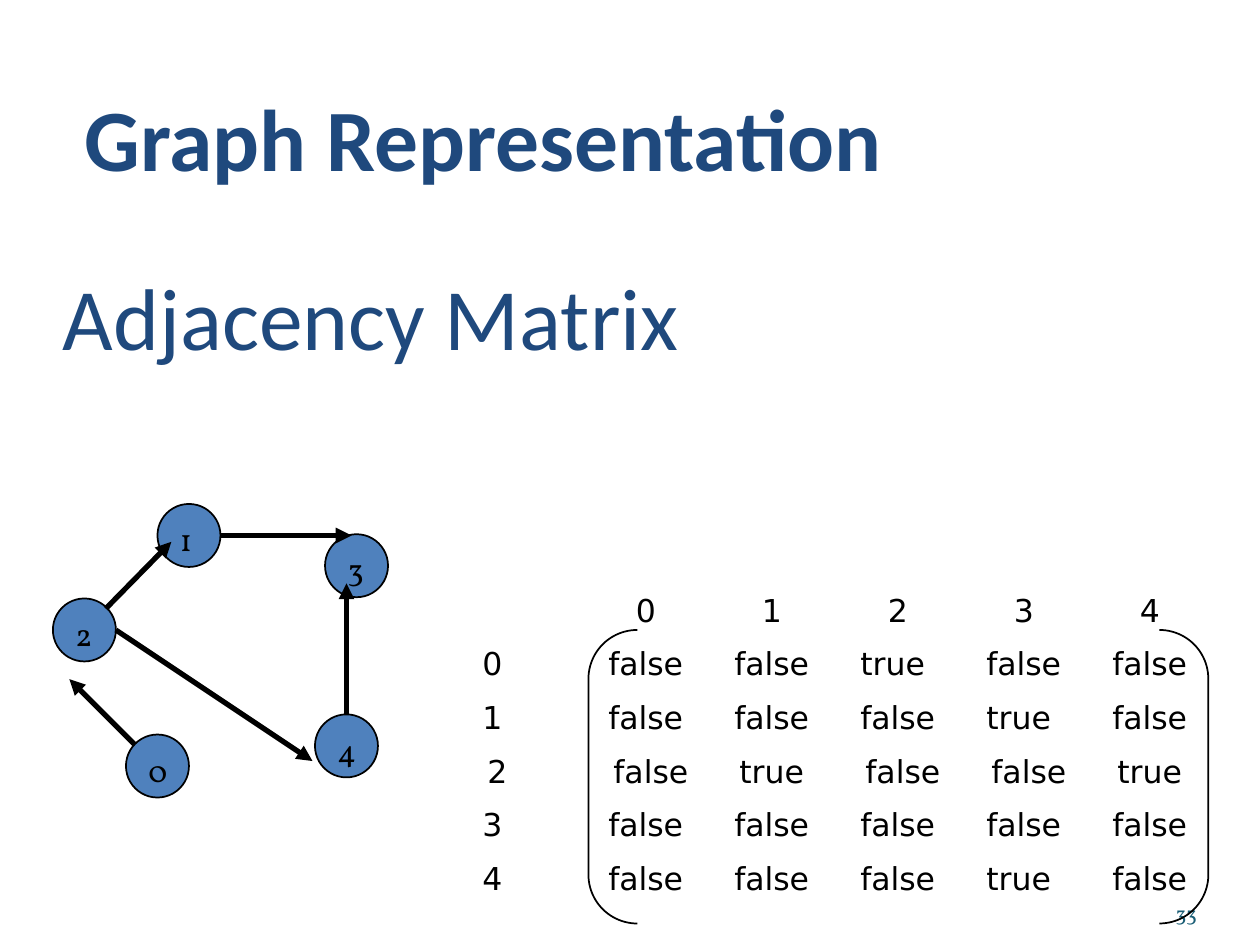
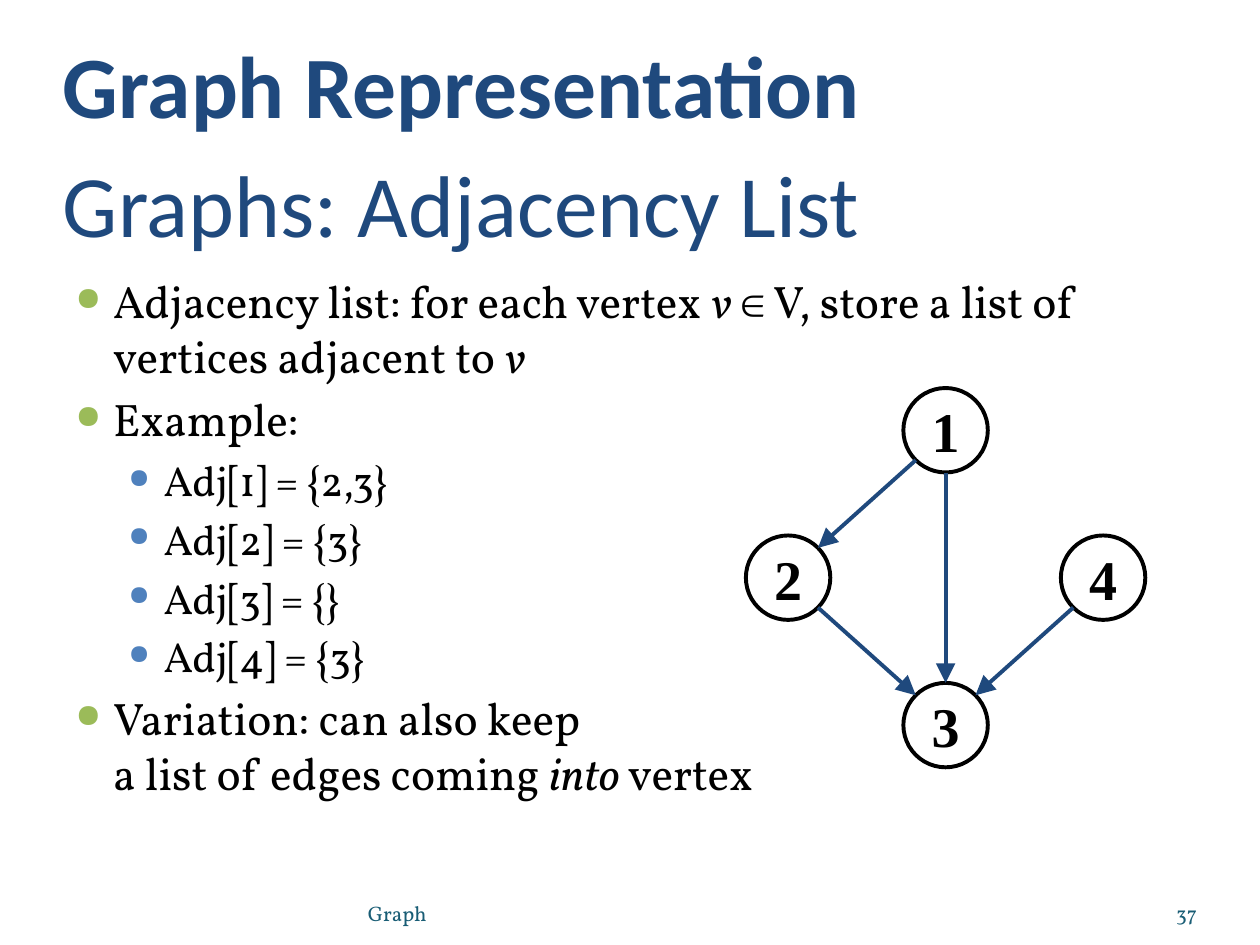
from dataclasses import dataclass
from math import copysign, sqrt

from lxml import etree
from pptx import Presentation
from pptx.dml.color import RGBColor
from pptx.enum import shapes, text
from pptx.oxml.ns import qn
from pptx.util import Inches, Pt


@dataclass(frozen=True)
class Theme:
    navy: str = "1F497D"
    blue: str = "4F81BD"
    green: str = "9BBB59"
    teal: str = "195D75"
    black: str = "000000"
    head: str = "Calibri"
    body: str = "Vollkorn"
    grid: str = "DejaVu Sans"
    serif: str = "Times New Roman"
    title: int = 50
    point: int = 26
    sub: int = 24
    node: int = 32
    label: int = 18
    foot: int = 12


T = Theme()
PAD = (0.1, 0.05, 0.1, 0.05)
TOP, MID, LOW = (text.MSO_ANCHOR.TOP, text.MSO_ANCHOR.MIDDLE,
                 text.MSO_ANCHOR.BOTTOM)
MID_AL, RIGHT = text.PP_ALIGN.CENTER, text.PP_ALIGN.RIGHT


def style(part, font, size, color, bold=False, align=None):
    part.alignment = align
    for run in part.runs:
        run.font.name = font
        run.font.size = Pt(size)
        run.font.bold = bold
        run.font.color.rgb = RGBColor.from_string(color)


def frame(shape, pad=PAD, anchor=TOP, wrap=True):
    """Set the margins, anchor and wrapping of a shape's text."""
    tf = shape.text_frame
    tf.margin_left, tf.margin_top, tf.margin_right, tf.margin_bottom = map(
        Inches, pad)
    tf.vertical_anchor = anchor
    tf.word_wrap = wrap
    return tf


def box(host, at, words, look, gap=0, **opts):
    """Add a text box whose paragraphs share one look."""
    tf = frame(host.add_textbox(*map(Inches, at)), **opts)
    tf.text = words
    for i, part in enumerate(tf.paragraphs):
        style(part, **look)
        if i and gap:
            part.space_before = Pt(gap)
    return tf


def title(slide, at, words, bold=False):
    look = dict(font=T.head, size=T.title, color=T.navy, bold=bold)
    box(slide.shapes, at, words, look, pad=(0, 0.05, 0, 0), anchor=LOW)


def foot(slide, left, width, words, align=None):
    look = dict(font=T.body, size=T.foot, color=T.teal, align=align)
    box(slide.shapes, (left, 6.95, width, 0.4), words, look,
        pad=(0, 0, 0, 0), anchor=LOW)


def number(slide, words):
    foot(slide, 8.67, 0.83, words, RIGHT)


def outline(host, kind, at, width, fill=None):
    """Add a preset shape with a black line."""
    item = host.add_shape(kind, *map(Inches, at))
    item.shadow.inherit = False
    if fill:
        item.fill.solid()
        item.fill.fore_color.rgb = RGBColor.from_string(fill)
    else:
        item.fill.background()
    item.line.color.rgb = RGBColor.from_string(T.black)
    item.line.width = Pt(width)
    return item


def arrow(host, start, end, color, width, head="med"):
    line = host.add_connector(shapes.MSO_CONNECTOR.STRAIGHT,
                              *map(Inches, (*start, *end)))
    line.line.color.rgb = RGBColor.from_string(color)
    line.line.width = Pt(width)
    props = line._element.spPr
    etree.SubElement(props.find(qn("a:ln")), qn("a:tailEnd"),
                     type="triangle", w=head, len=head)
    etree.SubElement(props, qn("a:effectLst"))


def bullet(part, level):
    left, hang, color, scale = ((0.3, 0.3, T.green, 72),
                                (0.7, 0.28, T.blue, 65))[level]
    part.level = level
    props = part._p.get_or_add_pPr()
    props.set("marL", str(Inches(left)))
    props.set("indent", str(-Inches(hang)))
    tint = etree.SubElement(props, qn("a:buClr"))
    etree.SubElement(tint, qn("a:srgbClr"), val=color)
    etree.SubElement(props, qn("a:buSzPct"), val=str(scale * 1000))
    etree.SubElement(props, qn("a:buChar"), char="●")


def points(slide, at, items):
    """Add bulleted (level, words); *stars* mark italics, \\n a line break."""
    tf = frame(slide.shapes.add_textbox(*map(Inches, at)))
    for i, (level, words) in enumerate(items):
        part = tf.add_paragraph() if i else tf.paragraphs[0]
        size = T.sub if level else T.point
        part.space_before = Pt(size * 0.2 if i else 0)
        bullet(part, level)
        for j, chunk in enumerate(words.split("*")):
            for k, row in enumerate(chunk.split("\n")):
                if k:
                    part.add_line_break()
                if row:
                    run = part.add_run()
                    run.text = row
                    run.font.italic = j % 2 == 1
        style(part, T.body, size, T.black)


def digraph(slide):
    """Draw the five-vertex graph beside the matrix."""
    host = slide.shapes.add_group_shape().shapes
    nodes = {"2": (0.42, 4.75), "0": (1, 5.83), "1": (1.25, 4),
             "4": (2.5, 5.67), "3": (2.58, 4.24)}
    edges = [((1.75, 4.25), (2.79, 4.25)), ((0.92, 5), (2.48, 6.04)),
             ((0.84, 4.83), (1.36, 4.3)), ((1.07, 5.91), (0.55, 5.39)),
             ((2.75, 5.67), (2.75, 4.63))]
    for x, y in nodes.values():
        outline(host, shapes.MSO_SHAPE.OVAL, (x, y, 0.5, 0.5), 1, T.blue)
    for start, end in edges:
        arrow(host, start, end, T.black, 3)
    look = dict(font=T.body, size=T.label, color=T.black)
    for name, (x, y) in nodes.items():
        box(host, (x + 0.08, y + 0.08, 0.32, 0.4), name, look, wrap=False)


def tabs(part, count):
    """Set left tab stops one inch apart."""
    stops = etree.SubElement(part._p.get_or_add_pPr(), qn("a:tabLst"))
    for i in range(count):
        etree.SubElement(stops, qn("a:tab"), pos=str(Inches(i + 1)), algn="l")


def matrix(slide, links):
    """Write the adjacency matrix on tab stops, in brackets."""
    size = len(links)
    rows = ["\t" + "\t".join(map(str, range(size)))]
    for i, ends in enumerate(links):
        cells = ["true" if j in ends else "false" for j in range(size)]
        rows.append("\t".join([str(i), *cells]))
    look = dict(font=T.grid, size=T.label, color=T.black, align=MID_AL)
    tf = box(slide.shapes, (3.25, 4.64, 6.75, 3.11), "\n".join(rows), look,
             gap=9)
    for part in tf.paragraphs:
        tabs(part, size)
    outline(slide.shapes, shapes.MSO_SHAPE.DOUBLE_BRACKET,
            (4.67, 5, 4.92, 2.33), 1)


def network(slide, nodes, edges):
    """Draw numbered rings and arrows that run from rim to rim."""
    size = 0.67
    for name, (x, y) in nodes.items():
        ring = outline(slide.shapes, shapes.MSO_SHAPE.OVAL,
                       (x, y, size, size), 2.25)
        tf = frame(ring, anchor=MID, wrap=False)
        tf.text = name
        style(tf.paragraphs[0], T.serif, T.node, T.black, True, MID_AL)
    half = size / 2
    for a, b in edges:
        (ax, ay), (bx, by) = nodes[a], nodes[b]
        slant = half / sqrt(2)
        dx = copysign(slant, bx - ax) if bx != ax else 0
        dy = copysign(slant if dx else half, by - ay)
        arrow(slide.shapes, (ax + half + dx, ay + half + dy),
              (bx + half - dx, by + half - dy), T.navy, 2.25, "lg")


def matrix_slide(slide):
    title(slide, (0.5, 1.67, 9, 1.25), "Adjacency Matrix")
    number(slide, "33")
    digraph(slide)
    matrix(slide, [{2}, {3}, {1, 4}, set(), {3}])
    title(slide, (0.67, 0.25, 9, 1.25), "Graph Representation", True)


def list_slide(slide):
    foot(slide, 2.92, 3.67, "Graph")
    title(slide, (0.5, 0.77, 9, 1.25), "Graphs: Adjacency List")
    points(slide, (0.5, 2.12, 9, 4.8), [
        (0, "Adjacency list: for each vertex *v *∈ V, store a list of "
            "vertices adjacent to *v*"),
        (0, "Example:"),
        (1, "Adj[1] = {2,3}"),
        (1, "Adj[2] = {3}"),
        (1, "Adj[3] = {}"),
        (1, "Adj[4] = {3}"),
        (0, "Variation: can also keep \n"
            "a list of edges coming *into *vertex"),
    ])
    network(slide, {"1": (7.17, 3.08), "2": (5.92, 4.25),
                    "4": (8.42, 4.25), "3": (7.17, 5.42)},
            ["12", "23", "43", "13"])
    number(slide, "37")
    title(slide, (0.5, 0.33, 9, 0.75), "Graph Representation", True)


def main():
    deck = Presentation()
    deck.slide_width, deck.slide_height = Inches(10), Inches(7.5)
    for build in (matrix_slide, list_slide):
        build(deck.slides.add_slide(deck.slide_layouts[6]))
    deck.save("out.pptx")


if __name__ == "__main__":
    main()
